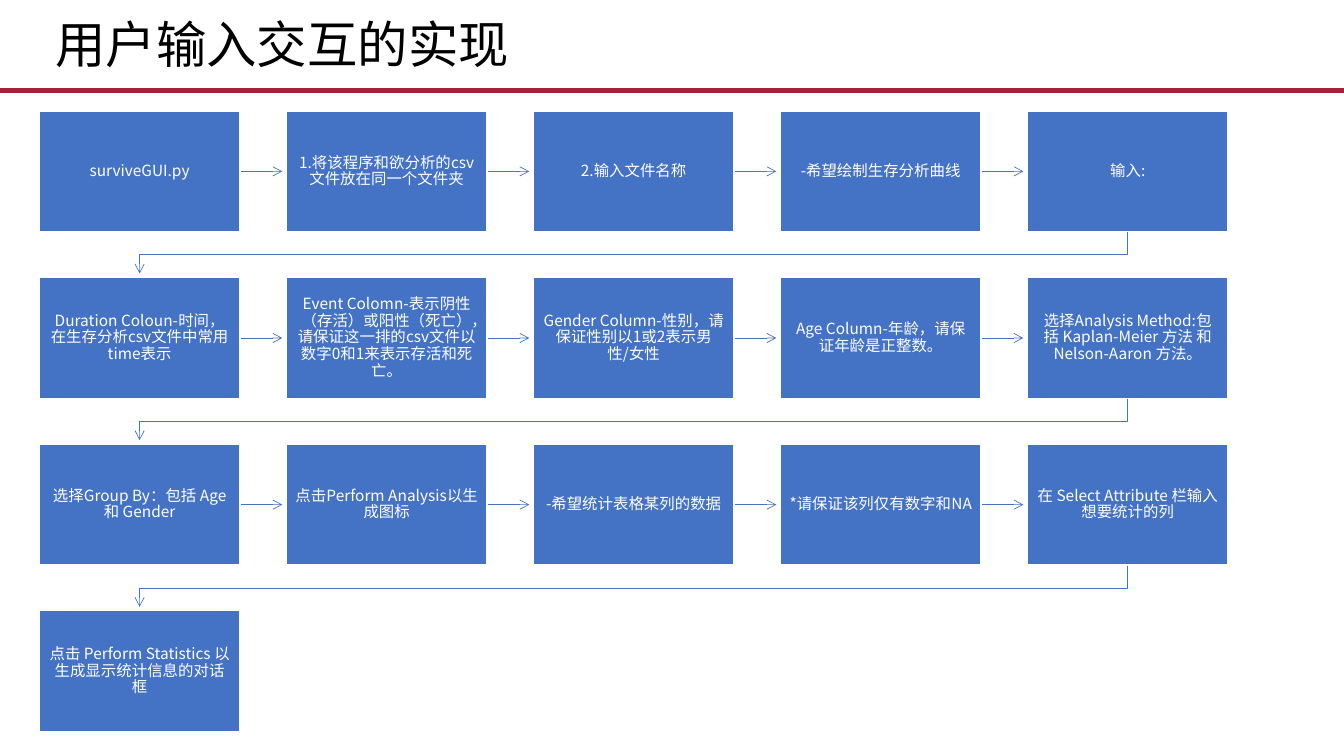
from lxml import etree
from pptx import Presentation
from pptx.dml.color import RGBColor
from pptx.enum.shapes import MSO_CONNECTOR, MSO_SHAPE
from pptx.enum.text import MSO_ANCHOR, MSO_AUTO_SIZE, PP_ALIGN
from pptx.oxml.ns import qn
from pptx.util import Inches, Pt

RECT = MSO_SHAPE.RECTANGLE
STRAIGHT = MSO_CONNECTOR.STRAIGHT
MIDDLE = MSO_ANCHOR.MIDDLE
CENTER = PP_ALIGN.CENTER
GROW = MSO_AUTO_SIZE.SHAPE_TO_FIT_TEXT

WIDTH, HEIGHT = 13.33, 7.5
FONT = "Noto Sans CJK SC"
BLUE, RED, WHITE, BLACK = "4472C4", "A62038", "FFFFFF", "000000"

COLS, ROWS = 5, 4
STEP_W, STEP_H = 1.99, 1.2
STEPS = [
    "surviveGUI.py",
    "1.将该程序和欲分析的csv文件放在同一个文件夹",
    "2.输入文件名称",
    "-希望绘制生存分析曲线",
    "输入:",
    "Duration Coloun-时间，在生存分析csv文件中常用time表示",
    "Event Colomn-表示阴性（存活）或阳性（死亡），请保证这一排的csv文件以数字0和1来表示存活和死亡。",
    "Gender Column-性别，请保证性别以1或2表示男性/女性",
    "Age Column-年龄，请保证年龄是正整数。",
    "选择Analysis Method:包括 Kaplan-Meier 方法 和 Nelson-Aaron 方法。",
    "选择Group By：包括 Age 和 Gender",
    "点击Perform Analysis以生成图标",
    "-希望统计表格某列的数据",
    "*请保证该列仅有数字和NA",
    "在 Select Attribute 栏输入想要统计的列",
    "点击 Perform Statistics 以生成显示统计信息的对话框",
]


def color(hex_code):
    return RGBColor.from_string(hex_code)


def add_run(p, text, size, hex_code):
    r = p.add_run()
    r.text = text
    r.font.size = Pt(size)
    r.font.name = FONT
    r.font.color.rgb = color(hex_code)
    etree.SubElement(r.font._element, qn("a:ea")).set("typeface", FONT)


def style_line(sp, hex_code, width, arrow=False):
    sp.line.color.rgb = color(hex_code)
    sp.line.width = Pt(width)
    if arrow:
        tail = etree.SubElement(sp.line._get_or_add_ln(), qn("a:tailEnd"))
        tail.set("type", "arrow")


def add_line(slide, x1, y1, x2, y2, hex_code, width, arrow=False):
    sp = slide.shapes.add_connector(
        STRAIGHT, Inches(x1), Inches(y1), Inches(x2), Inches(y2))
    style_line(sp, hex_code, width, arrow)
    etree.SubElement(sp._element.spPr, qn("a:effectLst"))


def add_wrap_arrow(slide, points):
    points = [(Inches(x), Inches(y)) for x, y in points]
    builder = slide.shapes.build_freeform(*points[0])
    builder.add_line_segments(points[1:], close=False)
    sp = builder.convert_to_shape()
    sp.fill.background()
    sp.shadow.inherit = False
    style_line(sp, BLUE, 0.5, arrow=True)


def add_step(slide, x, y, text):
    sp = slide.shapes.add_shape(
        RECT, Inches(x), Inches(y), Inches(STEP_W), Inches(STEP_H))
    sp.shadow.inherit = False
    sp.fill.solid()
    sp.fill.fore_color.rgb = color(BLUE)
    style_line(sp, WHITE, 1)
    tf = sp.text_frame
    tf.word_wrap = True
    tf.vertical_anchor = MIDDLE
    tf.margin_left = tf.margin_right = Inches(0.09)
    tf.margin_top = tf.margin_bottom = Inches(0.09)
    p = tf.paragraphs[0]
    p.alignment = CENTER
    p.line_spacing = 0.9
    add_run(p, text, 11, WHITE)


def add_header(slide, x, y, w, h):
    # Title
    sp = slide.shapes.add_textbox(Inches(x), Inches(y), Inches(w), Inches(h))
    tf = sp.text_frame
    tf.word_wrap = True
    tf.auto_size = GROW
    add_run(tf.paragraphs[0], "用户输入交互的实现", 36, BLACK)
    # Rule across the slide
    rule_y = HEIGHT * 0.12
    add_line(slide, 0, rule_y, WIDTH, rule_y, RED, 3.25)


def add_flow(slide, left, top, w, h):
    pitch_x = (w - STEP_W) / (COLS - 1)
    pitch_y = (h - STEP_H) / (ROWS - 1)
    gap = 0.04
    for i, text in enumerate(STEPS):
        row, col = divmod(i, COLS)
        x, y = left + col * pitch_x, top + row * pitch_y
        # Arrow to the next step, wrapping at the end of a row
        if col == COLS - 1:
            start_x, end_x = x + STEP_W / 2, left + STEP_W / 2
            bottom, next_top = y + STEP_H, y + pitch_y
            turn_y = (bottom + next_top) / 2
            add_wrap_arrow(slide, [(start_x, bottom), (start_x, turn_y),
                                   (end_x, turn_y), (end_x, next_top - gap)])
        elif i < len(STEPS) - 1:
            mid_y = y + STEP_H / 2
            add_line(slide, x + STEP_W, mid_y, x + pitch_x - gap, mid_y,
                     BLUE, 0.5, arrow=True)
        add_step(slide, x, y, text)


def main():
    prs = Presentation()
    prs.slide_width, prs.slide_height = Inches(WIDTH), Inches(HEIGHT)
    slide = prs.slides.add_slide(prs.slide_layouts[6])
    add_header(slide, 0.45, 0.08, 6.6, 0.71)
    add_flow(slide, 0.39, 1.1, 11.79, 6.16)
    prs.save("out.pptx")


if __name__ == "__main__":
    main()
